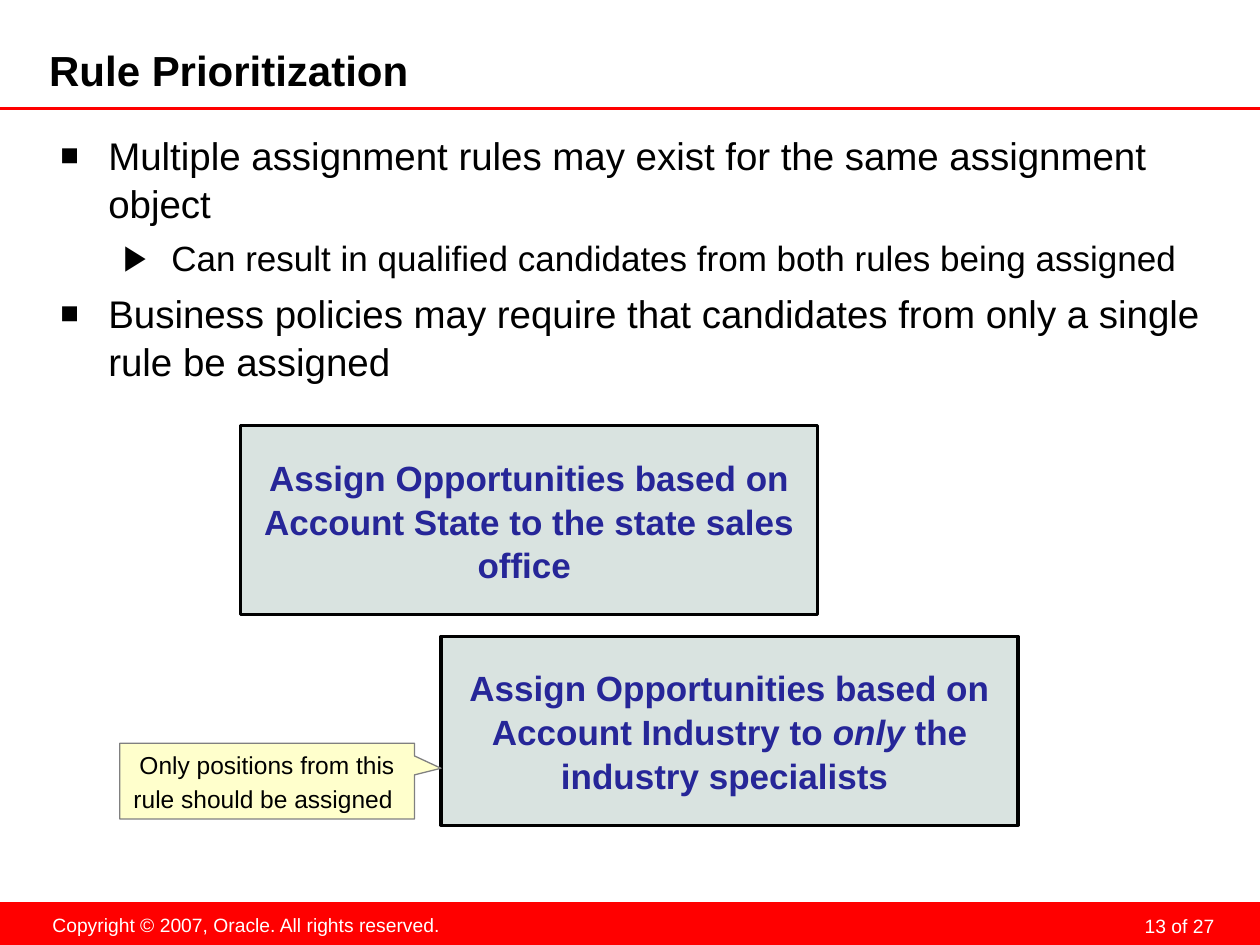
import pptx
import pptx.util
import pptx.dml.color
import pptx.enum.shapes
import pptx.enum.text
import pptx.oxml.ns
from dataclasses import dataclass
from lxml import etree

Inches, Pt = pptx.util.Inches, pptx.util.Pt
SHAPES = pptx.enum.shapes.MSO_SHAPE
ALIGN = pptx.enum.text.PP_ALIGN
ANCHOR = pptx.enum.text.MSO_ANCHOR
NO_FIT = pptx.enum.text.MSO_AUTO_SIZE.NONE
qn = pptx.oxml.ns.qn

WIDTH, HEIGHT = 10, 7.5
FONT = "Arial"
LINE_SPACING = 1.04
COLORS = {
    "red": "FF0000", "white": "FFFFFF", "black": "000000", "rule": "D9E3E0",
    "rule_text": "262698", "note": "FFFFCC", "note_line": "808080",
}


@dataclass
class Span:
    text: str
    size: float
    color: str = "black"
    bold: bool = False
    italic: bool = False


@dataclass
class Box:
    left: float
    top: float
    width: float
    height: float
    fill: str
    line: str = ""
    line_width: float = 1.75
    kind: SHAPES = SHAPES.RECTANGLE


@dataclass
class Bullet:
    text: str
    size: float
    level: int
    mark: str
    mark_percent: int
    indent: float
    space_before: float


def rgb(name: str):
    return pptx.dml.color.RGBColor.from_string(COLORS[name])


def add_spans(paragraph, spans: list[Span]) -> None:
    for span in spans:
        run = paragraph.add_run()
        run.text = span.text
        run.font.name, run.font.size = FONT, Pt(span.size)
        run.font.bold, run.font.italic = span.bold, span.italic
        run.font.color.rgb = rgb(span.color)


def set_frame(frame, anchor, insets=(0.1, 0.05, 0.1, 0.05), wrap=True) -> None:
    frame.auto_size, frame.word_wrap = NO_FIT, wrap
    frame.vertical_anchor = anchor
    (frame.margin_left, frame.margin_top,
     frame.margin_right, frame.margin_bottom) = map(Inches, insets)


def place(shape, left: float, top: float, width: float, height: float) -> None:
    shape.left, shape.top = Inches(left), Inches(top)
    shape.width, shape.height = Inches(width), Inches(height)


def add_box(slide, box: Box, spans: list[Span]):
    shape = slide.shapes.add_shape(
        box.kind, *map(Inches, (box.left, box.top, box.width, box.height)))
    shape.shadow.inherit = False
    shape.fill.solid()
    shape.fill.fore_color.rgb = rgb(box.fill)
    if box.line:
        shape.line.color.rgb = rgb(box.line)
        shape.line.width = Pt(box.line_width)
    else:
        shape.line.fill.background()
    set_frame(shape.text_frame, ANCHOR.MIDDLE)
    paragraph = shape.text_frame.paragraphs[0]
    paragraph.alignment = ALIGN.CENTER
    paragraph.line_spacing = LINE_SPACING
    add_spans(paragraph, spans)
    return shape


def add_footer(slide, text: str, place_at, insets, align, wrap: bool):
    footer = slide.shapes.add_textbox(*map(Inches, place_at))
    set_frame(footer.text_frame, ANCHOR.TOP, insets, wrap)
    paragraph = footer.text_frame.paragraphs[0]
    paragraph.alignment = align
    add_spans(paragraph, [Span(text, 11, "white")])
    return paragraph


def add_bullet(paragraph, bullet: Bullet) -> None:
    paragraph.level = bullet.level
    props = paragraph._p.get_or_add_pPr()
    props.set("marL", str(Inches(bullet.indent)))
    props.set("indent", str(-Inches(0.38)))
    color = etree.SubElement(props, qn("a:buClr"))
    etree.SubElement(color, qn("a:srgbClr"), val=COLORS["black"])
    etree.SubElement(props, qn("a:buSzPct"), val=str(bullet.mark_percent * 1000))
    etree.SubElement(props, qn("a:buFont"), typeface=FONT)
    etree.SubElement(props, qn("a:buChar"), char=bullet.mark)
    paragraph.space_before = Pt(bullet.space_before)
    paragraph.line_spacing = LINE_SPACING
    add_spans(paragraph, [Span(bullet.text, bullet.size)])


def main() -> None:
    deck = pptx.Presentation()
    deck.slide_width, deck.slide_height = Inches(WIDTH), Inches(HEIGHT)
    slide = deck.slides.add_slide(deck.slide_layouts[1])

    # Footer band with page number and copyright
    add_box(slide, Box(0, HEIGHT - 0.34, WIDTH, 0.34, "red"), [])
    page = add_footer(slide, "13 of 27", (7.36, 7.19, 2.33, 0.25),
                      (0.05, 0, 0.05, 0), ALIGN.RIGHT, True)
    page.line_spacing = Pt(18)
    add_footer(slide, "Copyright © 2007, Oracle. All rights reserved.",
               (0.31, 7.2, 3.29, 0.29), (0.1, 0.05, 0.1, 0.05),
               ALIGN.CENTER, False)

    # Title and its underline
    underline = slide.shapes.add_connector(
        pptx.enum.shapes.MSO_CONNECTOR.STRAIGHT,
        0, Inches(0.86), Inches(WIDTH), Inches(0.86))
    underline.line.color.rgb = rgb("red")
    underline.line.width = Pt(1.75)
    etree.SubElement(underline._element.spPr, qn("a:effectLst"))
    title = slide.shapes.title
    place(title, 0.39, 0.38, 7.87, 0.4)
    set_frame(title.text_frame, ANCHOR.MIDDLE, (0, 0, 0.05, 0.05))
    heading = title.text_frame.paragraphs[0]
    heading.alignment = ALIGN.LEFT
    add_spans(heading, [Span("Rule Prioritization", 24, bold=True)])

    # Bulleted list
    body = slide.placeholders[1]
    place(body, 0.38, 0.93, 9.3, 6.18)
    set_frame(body.text_frame, ANCHOR.TOP, (0.1, 0.1, 0.1, 0.05))
    bullets = [
        Bullet("Multiple assignment rules may exist for the same assignment object",
               22, 0, "■", 80, 0.38, 0),
        Bullet("Can result in qualified candidates from both rules being assigned",
               20, 1, "▶", 100, 0.88, 5),
        Bullet("Business policies may require that candidates from only a single "
               "rule be assigned", 22, 0, "■", 80, 0.38, 5.5),
    ]
    for index, bullet in enumerate(bullets):
        frame = body.text_frame
        add_bullet(frame.add_paragraph() if index else frame.paragraphs[0], bullet)

    # The two competing rules, stepped down to the right
    rule_style = dict(size=20, color="rule_text", bold=True)
    rules = [
        [Span("Assign Opportunities based on Account State to the state sales "
              "office ", **rule_style)],
        [Span("Assign Opportunities based on Account Industry to ", **rule_style),
         Span("only", italic=True, **rule_style),
         Span(" the industry specialists ", **rule_style)],
    ]
    for step, spans in enumerate(rules):
        add_box(slide, Box(1.91 + 1.59 * step, 3.38 + 1.67 * step, 4.58, 1.5,
                           "rule", "black"), spans)

    # Note pointing at the second rule
    note = add_box(slide, Box(0.95, 5.9, 2.34, 0.6, "note", "note_line", 0.75,
                              SHAPES.RECTANGULAR_CALLOUT),
                   [Span("Only positions from this rule should be assigned", 14),
                    Span(" ", 16)])
    note.adjustments[0], note.adjustments[1] = 0.59, -0.17

    deck.save("out.pptx")


if __name__ == "__main__":
    main()
